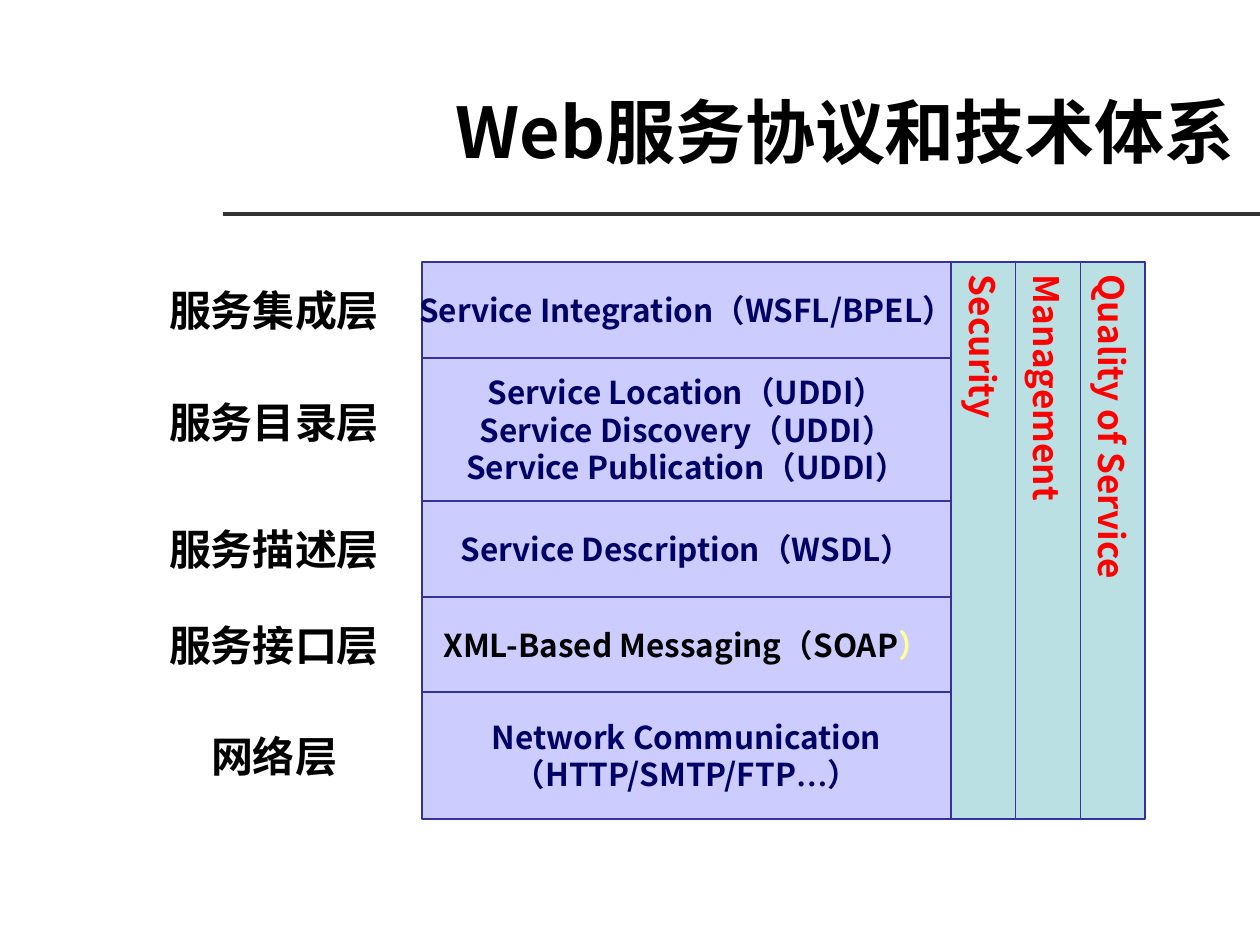
from dataclasses import dataclass

from pptx import Presentation
from pptx.dml.color import RGBColor
from pptx.enum.shapes import MSO_CONNECTOR, MSO_SHAPE
from pptx.enum.text import MSO_ANCHOR, PP_ALIGN
from pptx.oxml.ns import qn
from pptx.util import Emu, Pt

PX_PER_INCH = 126


@dataclass(frozen=True)
class Theme:
    font: str = "Noto Sans CJK SC"
    serif: str = "Times New Roman"
    black: str = "000000"
    navy: str = "000066"
    red: str = "FF0000"
    yellow: str = "FFFF99"
    rule: str = "333333"
    border: str = "333399"
    layer_fill: str = "CCCCFF"
    pillar_fill: str = "BBE0E3"
    title_size: float = 40
    label_size: float = 24
    layer_size: float = 18
    layer_spacing: float = 21.5
    pillar_size: float = 20


THEME = Theme()

# Label, label shift, row height, text colour, lines of (text, run overrides)
LAYERS = [
    ("服务集成层", 0, 96, THEME.navy, [[("Service Integration（WSFL/BPEL）", {})]]),
    ("服务目录层", -8, 143, THEME.navy, [
        [("Service Location（UDDI）", {})],
        [("Service Discovery（UDDI）", {})],
        [("Service Publication（UDDI）", {})],
    ]),
    ("服务描述层", 0, 96, THEME.navy, [[("Service Description（WSDL）", {})]]),
    ("服务接口层", 0, 95, THEME.black, [
        [("XML-Based Messaging（SOAP", {}), ("）", {"color": THEME.yellow})],
    ]),
    ("网络层", 0, 127, THEME.navy, [
        [("Network Communication", {})],
        [("（HTTP/SMTP/FTP", {}), ("…", {"name": THEME.serif}), ("）", {})],
    ]),
]
PILLARS = ["Security", "Management", "Quality of Service"]


def px(length):
    return Emu(round(length * 914400 / PX_PER_INCH))


def style_font(font, name=None, size=None, color=None):
    if size:
        font.size = Pt(size)
        font.bold = True
    if color:
        font.color.rgb = RGBColor.from_string(color)
    if name:
        font.name = name
        # East Asian text takes its typeface from its own element
        latin = font._element.find(qn("a:latin"))
        east_asian = latin.makeelement(qn("a:ea"), {"typeface": name})
        latin.addnext(east_asian)


def write_text(shape, lines, size, color, align=PP_ALIGN.CENTER, spacing=None):
    frame = shape.text_frame
    frame.word_wrap = False
    frame.vertical_anchor = MSO_ANCHOR.MIDDLE
    for index, line in enumerate(lines):
        para = frame.add_paragraph() if index else frame.paragraphs[0]
        para.alignment = align
        if spacing and len(lines) > 1:
            para.line_spacing = Pt(spacing)
        style_font(para.font, THEME.font, size, color)
        for text, overrides in line:
            span = para.add_run()
            span.text = text
            style_font(span.font, **overrides)


def add_panel(page, box, fill):
    panel = page.shapes.add_shape(MSO_SHAPE.RECTANGLE, *map(px, box))
    panel.shadow.inherit = False
    panel.fill.solid()
    panel.fill.fore_color.rgb = RGBColor.from_string(fill)
    panel.line.color.rgb = RGBColor.from_string(THEME.border)
    panel.line.width = Pt(0.75)
    return panel


def add_header(page, box):
    left, top, width, height = box
    # Rule below the title, running to the slide's right edge
    rule = page.shapes.add_connector(
        MSO_CONNECTOR.STRAIGHT, px(left), px(top + height), px(1260), px(top + height))
    rule.line.color.rgb = RGBColor.from_string(THEME.rule)
    rule.line.width = Pt(2.25)
    properties = rule._element.spPr
    properties.append(properties.makeelement(qn("a:effectLst"), {}))
    # Title
    title = page.shapes.add_textbox(*map(px, box))
    write_text(title, [[("Web服务协议和技术体系", {})]],
               THEME.title_size, THEME.black, PP_ALIGN.RIGHT)


def add_layers(page, box, label_width, label_height=96):
    left, top, width, _ = box
    panel_left = left + label_width
    for label, shift, height, color, lines in LAYERS:
        # Layer name, centred on its row
        label_top = top + (height - label_height) / 2 + shift
        name = page.shapes.add_textbox(
            *map(px, (left, label_top, label_width, label_height)))
        write_text(name, [[(label, {})]], THEME.label_size, THEME.black)
        # Layer panel
        panel = add_panel(page, (panel_left, top, width - label_width, height),
                          THEME.layer_fill)
        write_text(panel, lines, THEME.layer_size, color,
                   spacing=THEME.layer_spacing)
        top += height


def add_pillars(page, box):
    left, top, width, height = box
    pillar_width = width / len(PILLARS)
    for index, text in enumerate(PILLARS):
        pillar = add_panel(
            page, (left + index * pillar_width, top, pillar_width, height),
            THEME.pillar_fill)
        frame = pillar.text_frame
        frame.margin_left = frame.margin_right = px(6)
        frame.margin_top = frame.margin_bottom = px(13)
        write_text(pillar, [[(text, {})]], THEME.pillar_size, THEME.red)
        # Text runs downwards
        frame._txBody.bodyPr.set("vert", "eaVert")


def main():
    deck = Presentation()
    deck.slide_width, deck.slide_height = px(1260), px(945)
    page = deck.slides.add_slide(deck.slide_layouts[6])
    stack_height = sum(layer[2] for layer in LAYERS)
    add_header(page, (223, 48, 1024, 166))
    add_layers(page, (126, 262, 825, stack_height), label_width=296)
    add_pillars(page, (951, 262, 194, stack_height))
    deck.save("out.pptx")


if __name__ == "__main__":
    main()
